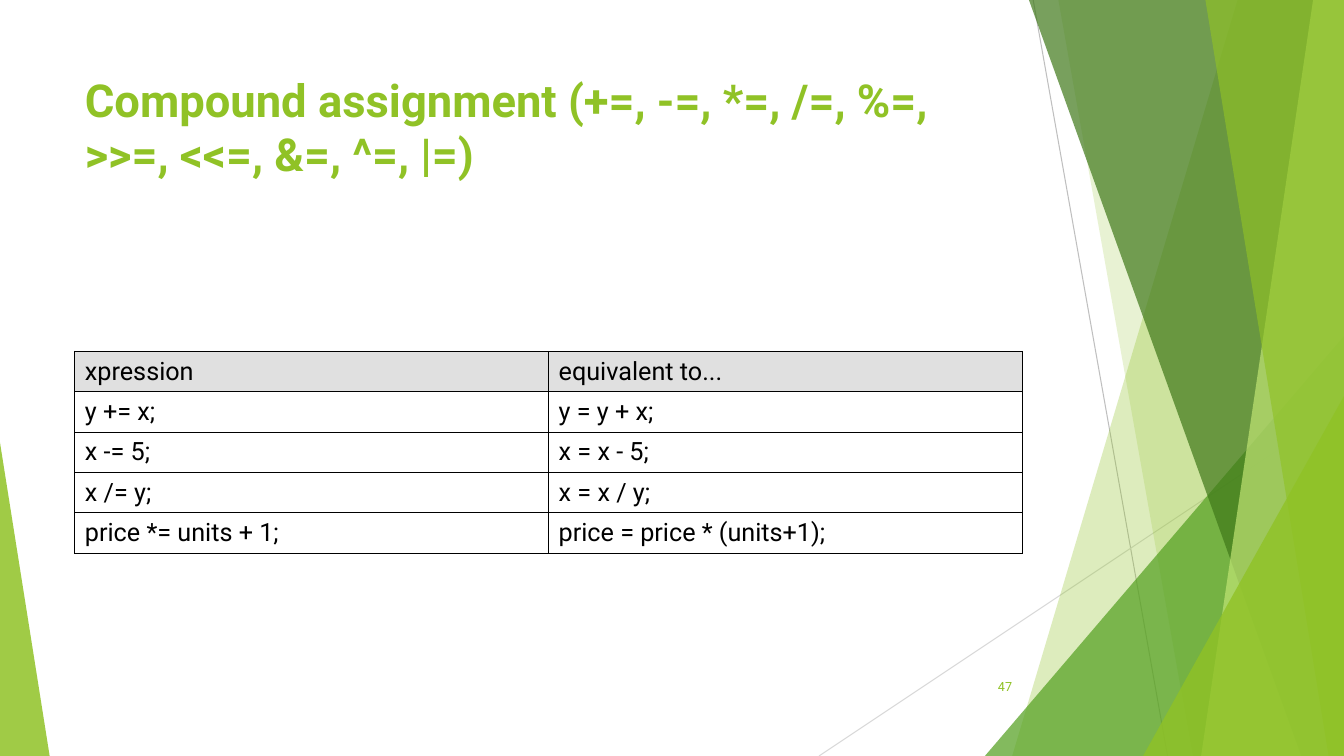
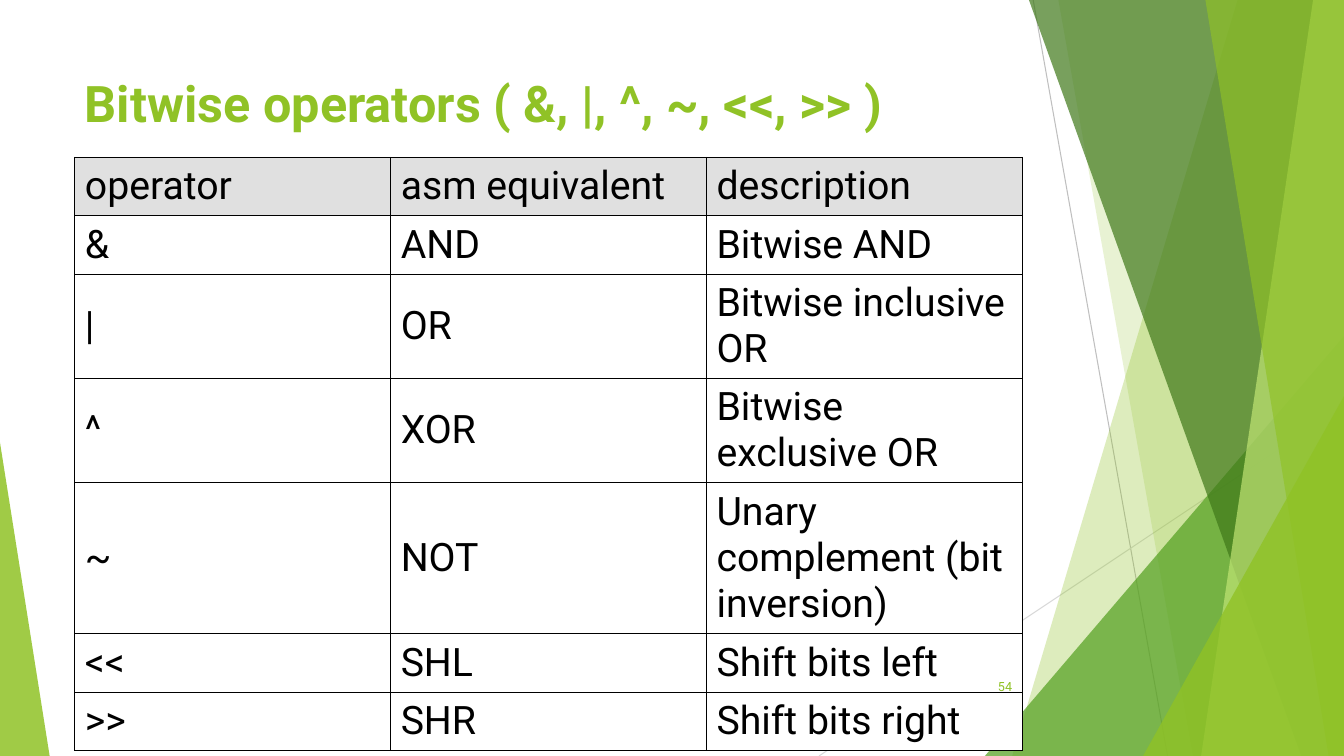
from lxml import etree
from pptx import Presentation
from pptx.dml.color import RGBColor
from pptx.enum.shapes import MSO_CONNECTOR, MSO_SHAPE
from pptx.enum.text import MSO_ANCHOR, PP_ALIGN
from pptx.oxml.ns import qn
from pptx.util import Pt

STRAIGHT = MSO_CONNECTOR.STRAIGHT
TRIANGLE = MSO_SHAPE.ISOSCELES_TRIANGLE
TOP, MIDDLE = MSO_ANCHOR.TOP, MSO_ANCHOR.MIDDLE
LEFT, RIGHT = PP_ALIGN.LEFT, PP_ALIGN.RIGHT

WIDE, HIGH = 960, 540
EDGE, SPAN = 53.5, 676.8
FONT = "Roboto"
GREEN, LEAF, DARK, LIME = "90C226", "54A021", "3F7819", "C0E474"
BLACK, WHITE, HEAD = "000000", "FFFFFF", "E0E0E0"

# Lines: start x, y, end x, y, colour
RAYS = [(738, 0, 834, HIGH, "BFBFBF"), (WIDE, 290, 585, HIGH, "D9D9D9")]
# Facets stand on the bottom edge: ("band", top x, bottom x, colour, opacity)
# or ("peak", left, top, width, apex, colour, opacity)
FACETS = [
    ("band", 884, 723, GREEN, 30),
    ("band", 756, 852, GREEN, 20),
    ("peak", 703.5, 240, 256.5, 1, LEAF, 72),
    ("band", 735, 929.5, DARK, 70),
    ("band", 938, 858, LIME, 70),
    ("band", 861, 949, GREEN, 65),
    ("peak", 816.5, 283, 143.5, 1, GREEN, 80),
    ("peak", 0, 316, 35.5, 0, GREEN, 85),
]

ASSIGN = [
    ("xpression", "equivalent to..."),
    ("y += x;", "y = y + x;"),
    ("x -= 5;", "x = x - 5;"),
    ("x /= y;", "x = x / y;"),
    ("price *= units + 1;", "price = price * (units+1);"),
]
BITWISE = [
    ("operator", "asm equivalent", "description"),
    ("&", "AND", "Bitwise AND"),
    ("|", "OR", "Bitwise inclusive OR"),
    ("^", "XOR", "Bitwise exclusive OR"),
    ("~", "NOT", "Unary complement (bit inversion)"),
    ("<<", "SHL", "Shift bits left"),
    (">>", "SHR", "Shift bits right"),
]


def color(code):
    return RGBColor.from_string(code)


def apply(item, values):
    for name, value in values.items():
        setattr(item, name, value)


class Deck:
    """Holds the style and the current slide."""

    def __init__(self):
        self.prs = Presentation()
        apply(self.prs, {"slide_width": Pt(WIDE), "slide_height": Pt(HIGH)})
        self.shapes = None

    def page(self, title, size):
        """Start a slide with its backdrop and title."""
        slide = self.prs.slides.add_slide(self.prs.slide_layouts[6])
        self.shapes = slide.shapes
        for ray in RAYS:
            self.ray(*ray)
        draw = {"band": self.band, "peak": self.peak}
        for kind, *facet in FACETS:
            draw[kind](*facet)
        self.text(title, (EDGE, 48, SPAN, 104), size, bold=True)

    def foot(self, number):
        self.text(number, (676, 476, 54, 29), 9, RIGHT, MIDDLE)

    def ray(self, x1, y1, x2, y2, code):
        line = self.shapes.add_connector(
            STRAIGHT, Pt(x1), Pt(y1), Pt(x2), Pt(y2))
        line.line.color.rgb = color(code)
        line.line.width = Pt(0.75)
        etree.SubElement(line.element.spPr, qn("a:effectLst"))

    def band(self, top, bottom, code, alpha):
        pen = self.shapes.build_freeform(Pt(top), 0)
        pen.add_line_segments([(Pt(WIDE), 0), (Pt(WIDE), Pt(HIGH)),
                               (Pt(bottom), Pt(HIGH))])
        self.tint(pen.convert_to_shape(), code, alpha)

    def peak(self, left, top, width, apex, code, alpha):
        shape = self.shapes.add_shape(
            TRIANGLE, Pt(left), Pt(top), Pt(width), Pt(HIGH - top))
        shape.adjustments[0] = apex
        self.tint(shape, code, alpha)

    def tint(self, shape, code, alpha):
        """Fill a shape with a see-through colour, without line or shadow."""
        shape.shadow.inherit = False
        shape.line.fill.background()
        shape.fill.solid()
        shape.fill.fore_color.rgb = color(code)
        paint = shape.element.spPr.find(".//" + qn("a:srgbClr"))
        etree.SubElement(paint, qn("a:alpha"), val=str(alpha * 1000))

    def label(self, frame, words, size, code, align=LEFT, bold=False):
        """Put one styled run into a text frame."""
        para = frame.paragraphs[0]
        para.alignment = align
        run = para.add_run()
        run.text = words
        apply(run.font, {"name": FONT, "size": Pt(size), "bold": bold})
        run.font.color.rgb = color(code)

    def text(self, words, box, size, align=LEFT, anchor=TOP, bold=False):
        frame = self.shapes.add_textbox(*map(Pt, box)).text_frame
        apply(frame, {"word_wrap": True, "vertical_anchor": anchor})
        self.label(frame, words, size, GREEN, align, bold)

    def table(self, rows, top, heights, size):
        count = len(rows[0])
        table = self.shapes.add_table(
            len(rows), count, Pt(EDGE), Pt(top), Pt(SPAN),
            Pt(sum(heights))).table
        apply(table, {"first_row": False, "horz_banding": False})
        for col in table.columns:
            col.width = Pt(SPAN / count)
        for r, (row, height) in enumerate(zip(rows, heights)):
            table.rows[r].height = Pt(height)
            for c, words in enumerate(row):
                self.cell(table.cell(r, c), words, size, WHITE if r else HEAD)

    def cell(self, cell, words, size, back):
        cell.vertical_anchor = MIDDLE
        self.label(cell.text_frame, words, size, BLACK)
        props = cell._tc.get_or_add_tcPr()
        for side in ("lnL", "lnR", "lnT", "lnB"):
            edge = etree.SubElement(props, qn("a:" + side), w=str(Pt(0.75)))
            fill = etree.SubElement(edge, qn("a:solidFill"))
            etree.SubElement(fill, qn("a:srgbClr"), val=BLACK)
        cell.fill.solid()
        cell.fill.fore_color.rgb = color(back)


def main():
    deck = Deck()

    deck.page("Compound assignment (+=, -=, *=, /=, %=, >>=, <<=, &=, ^=, |=)",
              32.4)
    deck.table(ASSIGN, 251, [28.3] * len(ASSIGN), 18)
    deck.foot("47")

    deck.page("Bitwise operators ( &, |, ^, ~, <<, >> )", 36)
    deck.table(BITWISE, 112.3, [41.7, 41.7, 72.6, 72.6, 105.6, 41.7, 41.7], 28)
    deck.foot("54")

    deck.prs.save("out.pptx")


if __name__ == "__main__":
    main()
